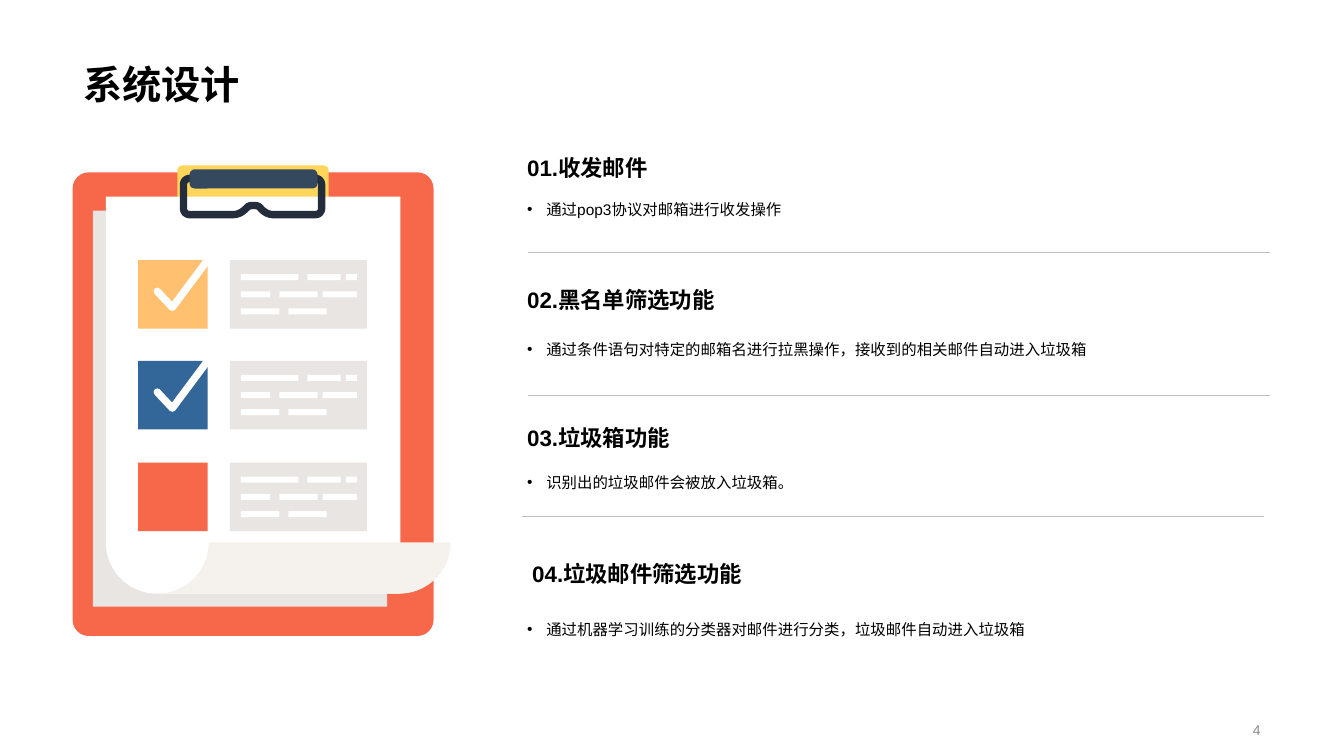
from math import cos, sin, radians
from lxml.etree import SubElement
from pptx import Presentation
from pptx.dml.color import RGBColor
from pptx.enum.shapes import MSO_CONNECTOR, MSO_SHAPE
from pptx.enum.text import MSO_ANCHOR, PP_ALIGN
from pptx.oxml.ns import qn
from pptx.util import Pt

PX = 9144
WIDE, HIGH = 1333, 750
FONT = "Arial"
COLORS = {
    "ink": "000000", "note": "8C8C8C", "rule": "BFBFBF", "red": "F7674A",
    "gray": "E9E5E2", "gold": "FFD55C", "white": "FFFFFF", "wire": "242D3C",
    "slate": "34485E", "curl": "F5F1ED", "amber": "FFC170", "blue": "336699",
}
TITLE = "系统设计"
PAGE = "4"
ITEMS = [
    ("01.收发邮件", 513, 139, "通过pop3协议对邮箱进行收发操作", 184),
    ("02.黑名单筛选功能", 513, 269, "通过条件语句对特定的邮箱名进行拉黑操作，接收到的相关邮件自动进入垃圾箱", 323),
    ("03.垃圾箱功能", 513, 406, "识别出的垃圾邮件会被放入垃圾箱。", 455),
    ("04.垃圾邮件筛选功能", 518, 541, "通过机器学习训练的分类器对邮件进行分类，垃圾邮件自动进入垃圾箱", 601),
]
RULES = [(524, 250), (524, 392), (518, 512)]
TASKS = [("amber", True), ("blue", True), ("red", False)]
TOP, PITCH = 258, 100.5
BARS = [
    (14, [(239, 57), (305, 33), (343, 11)]),
    (31, [(239, 29), (277, 38), (320, 34)]),
    (48, [(239, 38), (286, 38)]),
]
CHECK = [(156, 31), (171, 47), (206, 0)]

deck = Presentation()
deck.slide_width, deck.slide_height = WIDE * PX, HIGH * PX
slide = deck.slides.add_slide(deck.slide_layouts[6])
shapes = slide.shapes


def emu(*nums):
    return [round(n * PX) for n in nums]


def tint(name):
    return RGBColor.from_string(COLORS[name])


def paint(shape, fill):
    shape.shadow.inherit = False
    shape.fill.solid()
    shape.fill.fore_color.rgb = tint(fill)
    shape.line.fill.background()


def block(x, y, w, h, fill, round_by=0):
    kind = MSO_SHAPE.ROUNDED_RECTANGLE if round_by else MSO_SHAPE.RECTANGLE
    shape = shapes.add_shape(kind, *emu(x, y, w, h))
    if round_by:
        shape.adjustments[0] = round_by / min(w, h)
    paint(shape, fill)


def trace(points, close=True):
    spots = [emu(*p) for p in points]
    pen = shapes.build_freeform(*spots[0])
    pen.add_line_segments(spots[1:], close=close)
    return pen.convert_to_shape()


def stroke(points, color, close):
    shape = trace(points, close)
    shape.shadow.inherit = False
    shape.fill.background()
    shape.line.color.rgb = tint(color)
    shape.line.width = Pt(5.25)
    line = shape.line._get_or_add_ln()
    line.set("cap", "rnd")
    SubElement(line, qn("a:round"))


def arc(x, y, r, start, end, steps=24):
    turns = [radians(start + (end - start) * i / steps) for i in range(steps + 1)]
    return [(x + r * cos(t), y + r * sin(t)) for t in turns]


def bend(a, b, c, d, steps=10):
    spots = []
    for i in range(steps + 1):
        t = i / steps
        u = 1 - t
        spots.append(tuple(u**3 * p + 3 * u * u * t * q + 3 * u * t * t * r + t**3 * s
                           for p, q, r, s in zip(a, b, c, d)))
    return spots


def write(text, x, y, w, h, size, color="ink", bold=False, anchor=MSO_ANCHOR.BOTTOM,
          space=None, align=PP_ALIGN.LEFT, bullet=False):
    frame = shapes.add_textbox(*emu(x, y, w, h)).text_frame
    frame.word_wrap = True
    frame.vertical_anchor = anchor
    para = frame.paragraphs[0]
    para.text = text
    para.alignment = align
    if space:
        para.line_spacing = space
    if bullet:
        props = para._p.get_or_add_pPr()
        props.set("marL", str(19 * PX))
        props.set("indent", str(-19 * PX))
        SubElement(props, qn("a:buFont")).set("typeface", FONT)
        SubElement(props, qn("a:buChar")).set("char", "•")
    font = para.font
    font.name, font.size, font.bold = FONT, Pt(size), bold
    font.color.rgb = tint(color)


def rule(x, y, w):
    line = shapes.add_connector(MSO_CONNECTOR.STRAIGHT, *emu(x, y, x + w, y))
    line.line.color.rgb = tint("rule")
    line.line.width = Pt(0.25)
    SubElement(line._element.spPr, qn("a:effectLst"))


write(TITLE, 73, 0, 1187, 112, 28, bold=True, space=0.9)
write(PAGE, 942, 713, 318, 23, 10, "note", anchor=MSO_ANCHOR.MIDDLE, align=PP_ALIGN.RIGHT)

block(72, 171, 358, 460, "red", 16)
block(92, 209, 292, 393, "gray")
block(176, 164, 150, 62, "gold", 5)
paint(trace([(397, 195), (397, 589)] + arc(156, 538, 51, 90, 180) + [(105, 195)]), "white")
wire = (arc(188, 183, 6, 270, 180, 6) + arc(188, 207, 6, 180, 90, 6)
        + bend((231, 213), (237, 213), (241, 210), (245, 206))
        + bend((245, 206), (247, 204), (248, 204), (252, 204))
        + bend((252, 204), (254, 204), (256, 204), (258, 206))
        + bend((258, 206), (261, 210), (266, 213), (271, 213))
        + arc(313, 207, 6, 90, 0, 6) + arc(313, 183, 6, 0, -90, 6))
stroke(wire, "wire", True)
block(188, 168, 127, 19, "slate", 5)
paint(trace(arc(156, 538, 51, 0, 90) + arc(396, 538, 51, 90, 0)), "curl")

for i, (color, done) in enumerate(TASKS):
    y = TOP + int(i * PITCH)
    block(137, y, 69, 68, color)
    block(228, y, 136, 68, "gray")
    if done:
        stroke([(cx, y + cy) for cx, cy in CHECK], "white", False)
    for drop, row in BARS:
        for x, w in row:
            block(x, y + drop, w, 6, "white")

for head, x, y, body, low in ITEMS:
    write(head, x, y, 747, 46, 16, bold=True)
    write(body, 513, low, 747, 103, 11, anchor=MSO_ANCHOR.TOP, space=1.5, bullet=True)
for x, y in RULES:
    rule(x, y, 736)

deck.save("out.pptx")
